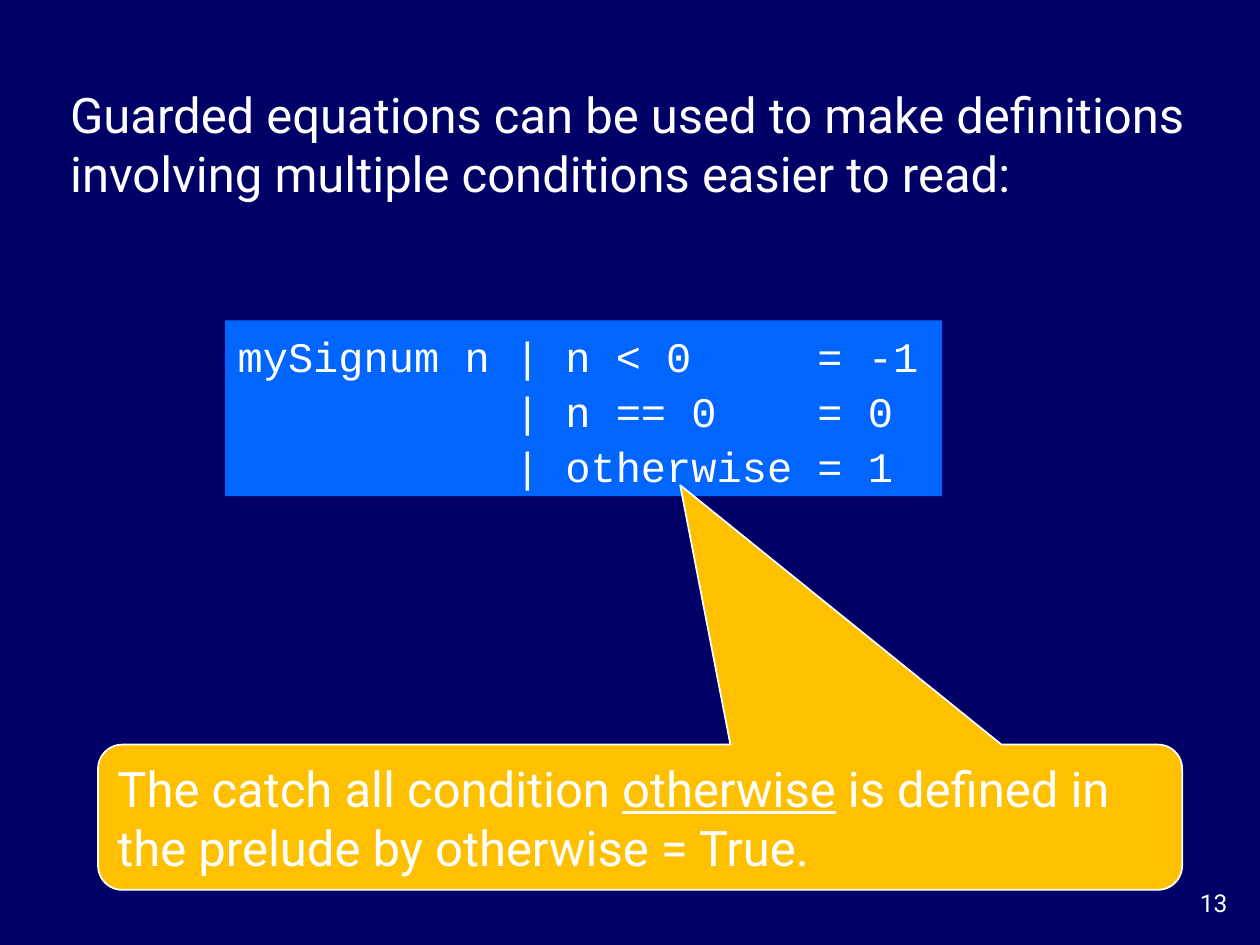
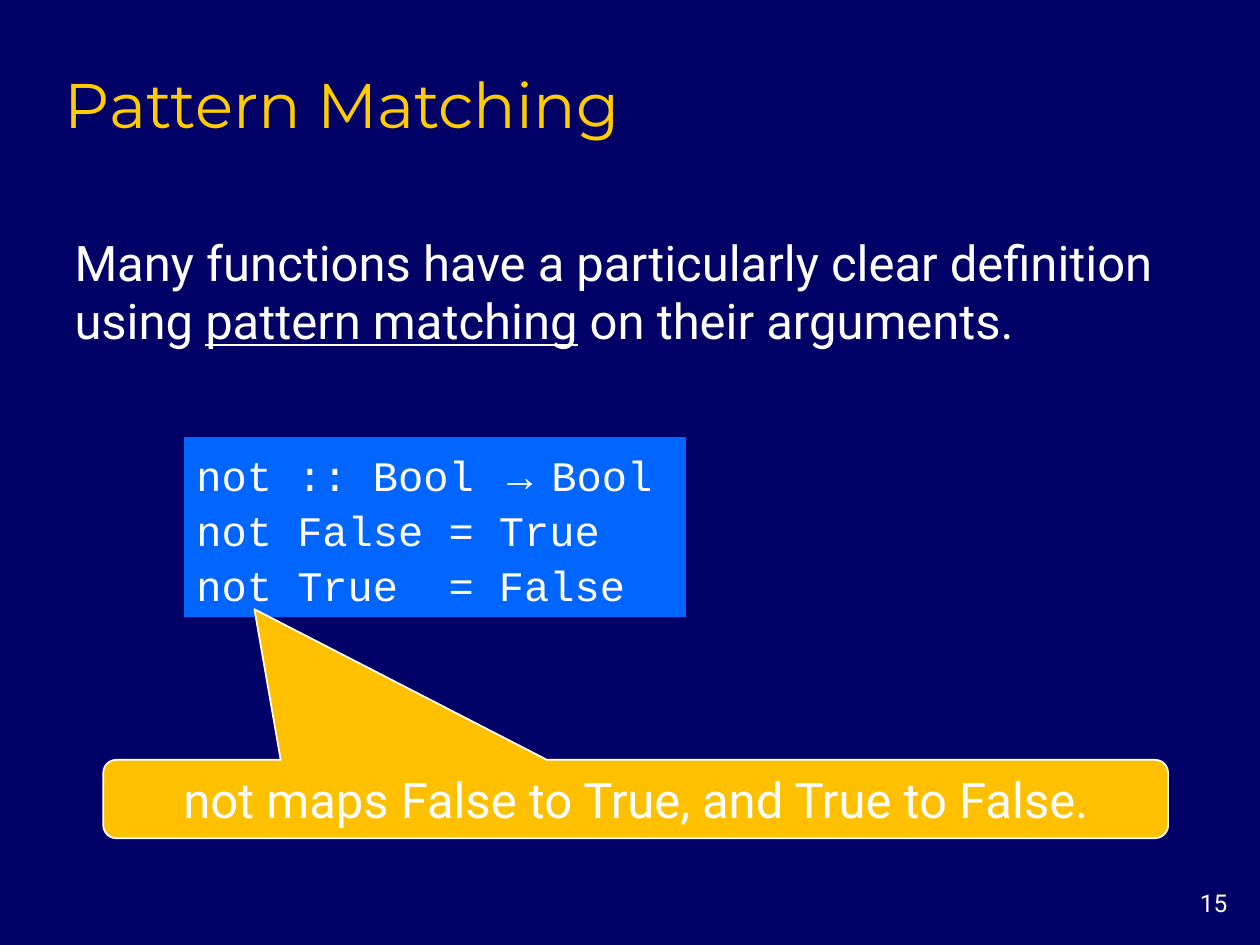
import pptx
import pptx.util
import pptx.dml.color
import pptx.enum.shapes
import pptx.enum.text

Pt = pptx.util.Pt
SHAPES = pptx.enum.shapes.MSO_SHAPE
ALIGN = pptx.enum.text.PP_ALIGN
ANCHOR = pptx.enum.text.MSO_ANCHOR

COLORS = {
    "background": "000066",
    "text": "FFFFFF",
    "title": "FFCC00",
    "code": "0066FF",
    "callout": "FFC000",
}


def color(key):
    return pptx.dml.color.RGBColor.from_string(COLORS[key])


def write(shape, paragraphs, size=28, font="Roboto", ink="text", align=ALIGN.LEFT,
          anchor=ANCHOR.MIDDLE, wrap=True, spacing=None):
    """Fill a shape with paragraphs, each a list of text or (text, font overrides)."""
    frame = shape.text_frame
    frame.word_wrap = wrap
    frame.vertical_anchor = anchor
    for index, pieces in enumerate(paragraphs):
        paragraph = frame.add_paragraph() if index else frame.paragraphs[0]
        paragraph.alignment = align
        if spacing:
            paragraph.line_spacing = spacing
        for piece in pieces:
            text, overrides = (piece, {}) if isinstance(piece, str) else piece
            run = paragraph.add_run()
            run.text = text
            run.font.size = Pt(size)
            run.font.color.rgb = color(ink)
            run.font.name = font
            for attribute, value in overrides.items():
                setattr(run.font, attribute, value)


def add_text(slide, box, paragraphs, **style):
    write(slide.shapes.add_textbox(*map(Pt, box)), paragraphs, **style)


def add_panel(slide, box, kind, fill):
    panel = slide.shapes.add_shape(kind, *map(Pt, box))
    panel.shadow.inherit = False
    panel.fill.solid()
    panel.fill.fore_color.rgb = color(fill)
    panel.line.fill.background()
    return panel


def add_title(slide, box, title):
    add_text(slide, box, [[title]], size=36, font="Montserrat", ink="title",
             anchor=ANCHOR.BOTTOM)


def add_code(slide, box, lines):
    panel = add_panel(slide, box, SHAPES.RECTANGLE, "code")
    write(panel, lines, size=24, font="Courier New", wrap=False, spacing=1.1)


def add_callout(slide, box, tip, pieces, align=ALIGN.LEFT):
    """Draw a callout whose tip is an offset from its centre, in box widths and heights."""
    callout = add_panel(slide, box, SHAPES.ROUNDED_RECTANGULAR_CALLOUT, "callout")
    callout.adjustments[0], callout.adjustments[1] = tip
    callout.line.color.rgb = color("text")
    callout.line.width = Pt(1)
    write(callout, [pieces], align=align)


def add_base(deck, number):
    slide = deck.slides.add_slide(deck.slide_layouts[6])
    slide.background.fill.solid()
    slide.background.fill.fore_color.rgb = color("background")
    add_text(slide, (660, 504, 48.5, 24), [[number]], size=14, align=ALIGN.RIGHT,
             anchor=ANCHOR.TOP)
    return slide


def build_guards(deck):
    slide = add_base(deck, "13")
    add_text(slide, (33, 44.5, 651.5, 74.5), [[
        "Guarded equations can be used to make definitions "
        "involving multiple conditions easier to read:"]])
    add_code(slide, (128.7, 183, 409.7, 100.5), [
        ["mySignum n | n < 0     = -1"],
        ["           | n == 0    = 0"],
        ["           | otherwise = 1"],
    ])
    add_callout(slide, (56, 425.5, 619.5, 83), (0.037, -2.286), [
        "The catch all condition ",
        ("otherwise", {"underline": True}),
        " is defined in the prelude by otherwise = True.",
    ])


def build_pattern_matching(deck):
    slide = add_base(deck, "15")
    add_title(slide, (30, 30, 612, 54), "Pattern Matching")
    add_text(slide, (35.5, 129, 650, 74.5), [[
        "Many functions have a particularly clear definition using ",
        ("pattern matching", {"underline": True}),
        " on their arguments.",
    ]])
    add_code(slide, (105.2, 249.8, 286.8, 102.8), [
        ["not :: Bool ", ("→ ", {"name": "Times New Roman"}), "Bool"],
        ["not False = True"],
        ["not True  = False"],
    ])
    add_callout(slide, (59, 434.2, 608.5, 44.8), (-0.358, -2.422),
                ["not maps False to True, and True to False."], align=ALIGN.CENTER)


def main():
    deck = pptx.Presentation()
    deck.slide_width, deck.slide_height = Pt(720), Pt(540)
    build_guards(deck)
    build_pattern_matching(deck)
    deck.save("out.pptx")


if __name__ == "__main__":
    main()
